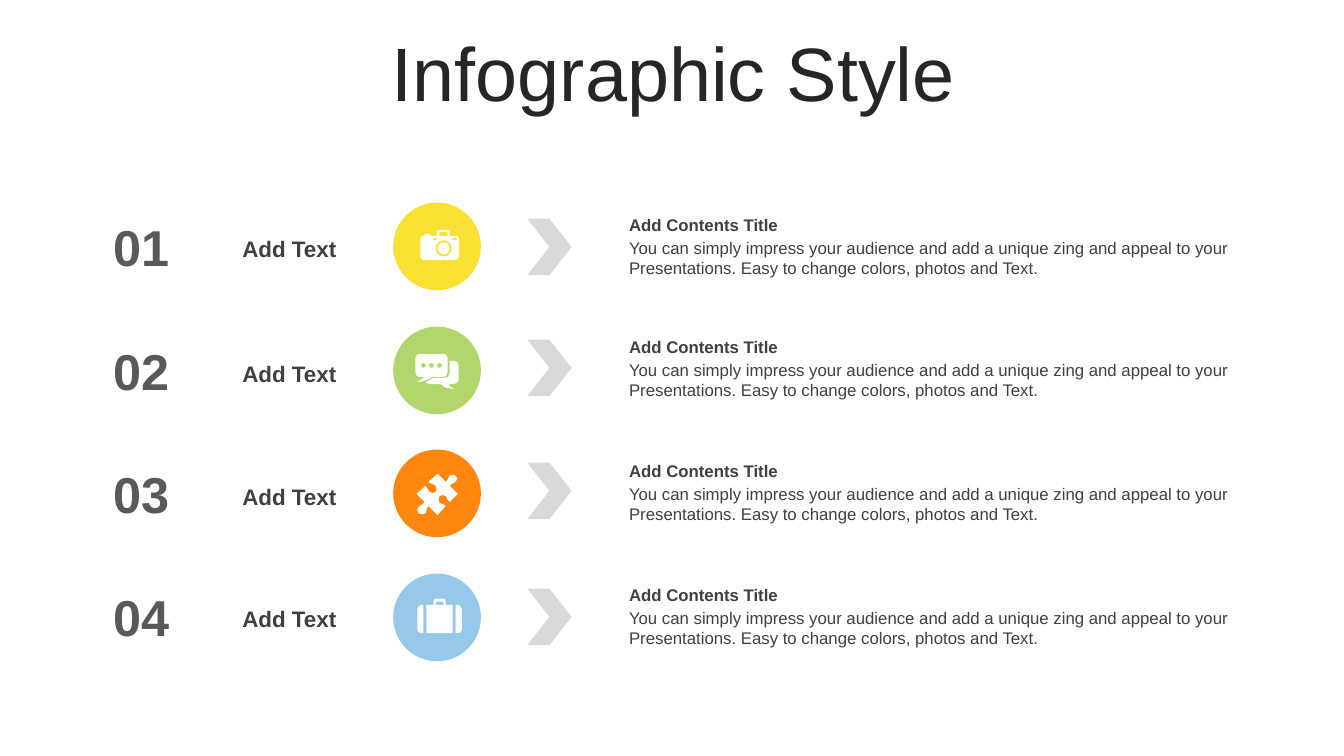
from lxml import etree
from pptx import Presentation
from pptx.dml.color import RGBColor
from pptx.enum.shapes import MSO_SHAPE
from pptx.enum.text import MSO_ANCHOR, MSO_AUTO_SIZE, PP_ALIGN
from pptx.oxml.ns import qn
from pptx.util import Pt

OVAL, CHEVRON = MSO_SHAPE.OVAL, MSO_SHAPE.CHEVRON
LEFT, CENTER = PP_ALIGN.LEFT, PP_ALIGN.CENTER
TOP, MIDDLE = MSO_ANCHOR.TOP, MSO_ANCHOR.MIDDLE
GROW, FIXED = MSO_AUTO_SIZE.SHAPE_TO_FIT_TEXT, MSO_AUTO_SIZE.NONE
SCALE = 9144  # EMU in one px, 100 px to the inch
BODY = ("You can simply impress your audience and add a unique zing and appeal "
        "to your Presentations. Easy to change colors, photos and Text.")


def px(n):
    return round(n * SCALE)


def color(code):
    return RGBColor.from_string(code)


def paint(shape, code):
    shape.shadow.inherit = False
    shape.fill.solid()
    shape.fill.fore_color.rgb = color(code)
    shape.line.fill.background()


def text(host, box, words, size=12, ink="404040", bold=False, align=LEFT,
         anchor=TOP, fit=GROW, spacing=None):
    frame = host.shapes.add_textbox(*map(px, box)).text_frame
    frame.word_wrap = True
    frame.auto_size = fit
    frame.vertical_anchor = anchor
    para = frame.paragraphs[0]
    para.alignment = align
    para.line_spacing = spacing
    run = para.add_run()
    run.text = words
    run.font.name = "Arial"
    run.font.size = Pt(size)
    run.font.bold = bold
    run.font.color.rgb = color(ink)


def solid(slide, kind, box, code):
    paint(slide.shapes.add_shape(kind, *map(px, box)), code)


# Icon outlines: two numbers make a line, six a curve; px from the disc's corner
def ring(x, y, r):
    c = round(r * 0.55, 2)
    return (f"{x + r},{y} {x + r},{y + c},{x + c},{y + r},{x},{y + r} "
            f"{x - c},{y + r},{x - r},{y + c},{x - r},{y} "
            f"{x - r},{y - c},{x - c},{y - r},{x},{y - r} "
            f"{x + c},{y - r},{x + r},{y - c},{x + r},{y}")


CAMERA = [
    ring(50, 45.5, 6),
    ring(50, 45.5, 8),
    "40,35 40,37 43,37 43,35",
    "58,35 58,37 63,37 63,35",
    "46,29 46,33 54,33 54,29",
    "44,27 55,27 56,27,56,28,56,29 56,33 62,33 64,33,65,34,65,36 65,54 "
    "65,55,64,57,62,57 30,57 28,57,27,55,27,54 27,36 27,34,28,33,30,33 "
    "31,33 31,31 37,31 37,33 43,33 43,29 43,28,44,27,44,27",
]
CHAT = [ring(x, 38.5, 2.5) for x in (46, 38, 30)] + [
    "56,34 60,34 63,34,65,36,65,39 65,53 65,55,63,57,60,57 55,57 "
    "56,59,56,60,61,62 53,61,51,61,47,57 36,57 35,57,33,56,32,55 "
    "35,54,37,53,40,51 51,51 54,51,56,49,56,46",
    "26,27 50,27 52,27,54,29,54,31 54,45 54,48,52,50,50,50 39,50 "
    "34,53,32,54,24,55 28,52,29,52,31,50 26,50 24,50,22,48,22,45 22,31 "
    "22,29,24,27,26,27",
]
PUZZLE = [
    "62,26 64,27,64,30,62,32 60,34,58,33,56,36 64,44 56,52 "
    "53,50,54,48,52,46 50,45,47,45,46,46 45,48,44,51,46,53 "
    "49,55,50,53,52,56 44,65 35,56 32,59,34,60,32,63 29,65,27,64,25,63 "
    "24,61,23,59,25,57 27,54,29,56,31,52 23,44 32,36 35,38,33,40,36,42 "
    "38,44,40,43,42,42 43,41,44,38,42,36 39,33,38,35,35,32 44,24 52,32 "
    "55,29,54,29,56,26 58,24,61,25,62,26",
]
CASE = [
    "62,31 64,31 66,31,68,33,68,35 68,56 68,58,66,59,64,59 62,59",
    "28,31 30,31 30,59 28,59 26,59,24,58,24,56 24,35 24,33,26,31,28,31",
    "44,28 43,28,42,28,42,29 42,31 50,31 50,29 50,28,49,28,48,28",
    "42,25 50,25 51,25,52,26,52,27 52,31 59,31 59,59 33,59 33,31 40,31 "
    "40,27 40,26,41,25,42,25",
]


def bend(line, points, shape):
    """Make a line of the shape's outline a curve through the given points."""
    curve = etree.Element(qn("a:cubicBezTo"))
    for x, y in points:
        etree.SubElement(curve, qn("a:pt"), x=str(x - shape.left),
                         y=str(y - shape.top))
    line.getparent().replace(line, curve)


def icon(slide, left, top, outlines):
    pen, parts = None, []
    for outline in outlines:
        steps = []
        for part in outline.split():
            nums = [float(n) for n in part.split(",")]
            steps.append([(px(left + x), px(top + y))
                          for x, y in zip(nums[::2], nums[1::2])])
        start, *ends = [step[-1] for step in steps]
        if pen is None:
            pen = slide.shapes.build_freeform(*start, scale=1.0)
        else:
            pen.move_to(*start)
        pen.add_line_segments(ends, close=True)
        parts += steps[1:]
    shape = pen.convert_to_shape()
    for line, step in zip(list(shape.element.iter(qn("a:lnTo"))), parts):
        if len(step) == 3:
            bend(line, step, shape)
    paint(shape, "FFFFFF")


# Title band
def title(slide, box):
    text(slide, box, "Infographic Style", size=54, ink="262626", align=CENTER,
         anchor=MIDDLE, fit=FIXED, spacing=0.9)


# One row: disc, number, label, chevron, contents, icon
def row(slide, left, top, num, fill, art, drops):
    label, arrow, body = (top + drop for drop in drops)
    solid(slide, OVAL, (left + 294, top, 87, 87), fill)
    text(slide, (left, top + 8, 88, 71), f"{num:02}", size=36, ink="595959",
         bold=True, align=CENTER)
    text(slide, (left + 113, label, 156, 37), "Add Text", size=16, bold=True,
         align=CENTER)
    solid(slide, CHEVRON, (left + 427, arrow, 44, 56), "D9D9D9")
    group = slide.shapes.add_group_shape()
    text(group, (left + 518, body, 625, 50), BODY)
    text(group, (left + 518, body - 23, 625, 30), "Add Contents Title", bold=True)
    icon(slide, left + 294, top, art)


# Fill, icon, and drops of label, chevron and body below the row's top
ROWS = [
    ("FBE034", CAMERA, (27, 16, 30)),
    ("B0D66C", CHAT, (28, 13, 28)),
    ("FF870F", PUZZLE, (28, 13, 29)),
    ("96C8E9", CASE, (26, 15, 29)),
]


def main():
    deck = Presentation()
    deck.slide_width, deck.slide_height = px(1333), px(750)
    slide = deck.slides.add_slide(deck.slide_layouts[6])
    title(slide, (35, 37, 1266, 79))
    for i, (fill, art, drops) in enumerate(ROWS):
        row(slide, 96, 201 + round(i * 368 / 3), i + 1, fill, art, drops)
    deck.save("out.pptx")


if __name__ == "__main__":
    main()
